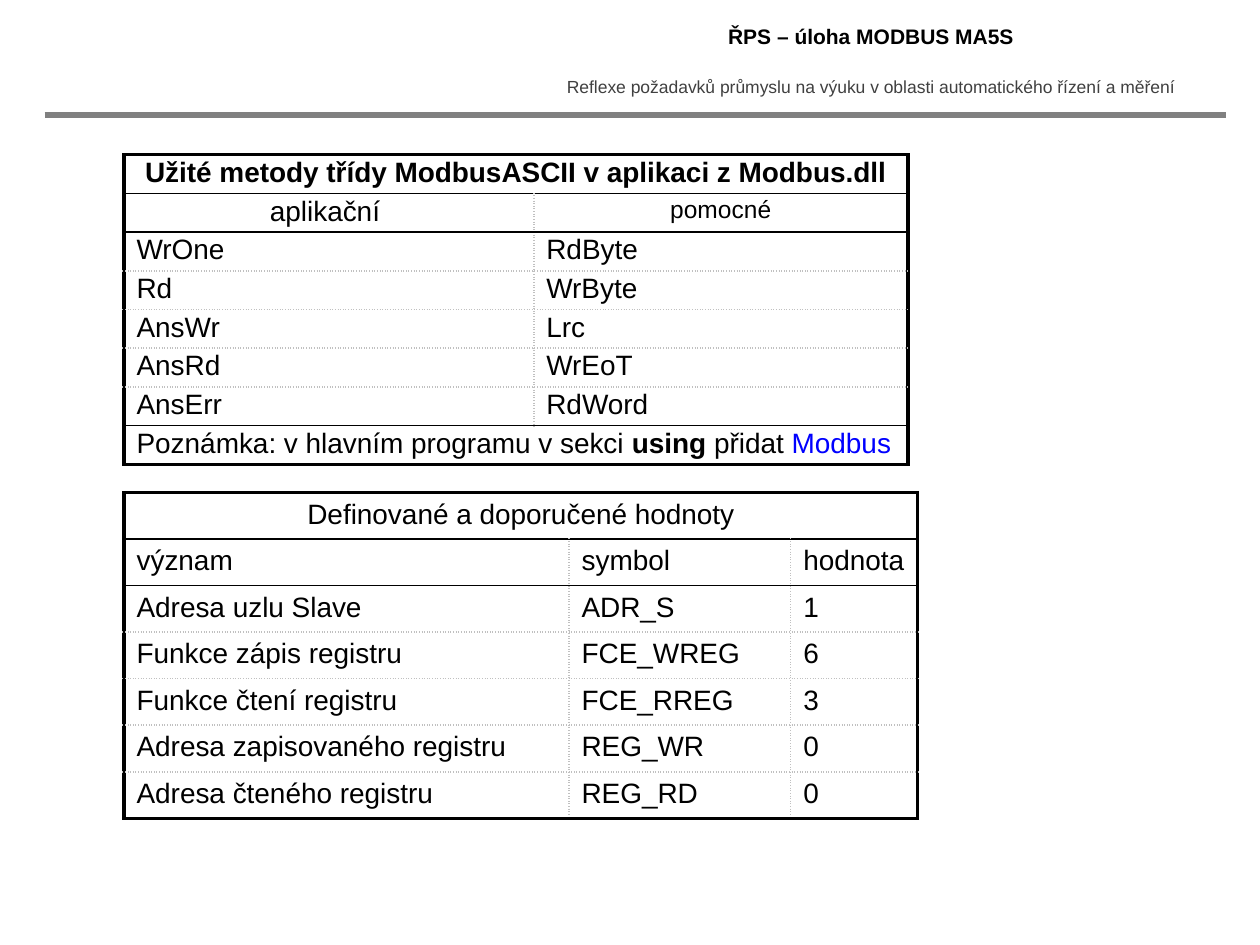
import pptx
import pptx.util
import pptx.dml.color
import pptx.enum.shapes
import pptx.enum.text
import pptx.oxml.ns
from lxml import etree

Cm, Pt = pptx.util.Cm, pptx.util.Pt
CENTER = pptx.enum.text.PP_ALIGN.CENTER
COLORS = {"text": "000000", "subtitle": "404040", "rule": "808080",
          "dots": "C0C0C0", "accent": "0000FF"}
THICK = ("text", 2.25, "solid")
THIN = ("text", 1, "solid")
DOTTED = ("dots", 1, "sysDot")


def rgb(name):
    """Return a named colour."""
    return pptx.dml.color.RGBColor.from_string(COLORS[name])


def add_xml(parent, tag, **attributes):
    """Append a DrawingML element to a parent."""
    return etree.SubElement(parent, pptx.oxml.ns.qn(tag), attributes)


class Sheet:
    """Holds the style and the current slide."""

    font = "Arial"

    def __init__(self, deck):
        """Add a blank page to the deck."""
        self.page = deck.slides.add_slide(deck.slide_layouts[6])

    def style(self, para, size, color="text", bold=False, align=None):
        """Set the font and alignment of a paragraph."""
        para.font.name, para.font.size, para.font.bold = self.font, Pt(size), bold
        para.font.color.rgb = rgb(color)
        para.alignment = align

    def text(self, left, top, width, height, words, size, color="text", bold=False):
        """Add a centred line of text."""
        box = self.page.shapes.add_textbox(Cm(left), Cm(top), Cm(width), Cm(height))
        box.text_frame.word_wrap = True
        para = box.text_frame.paragraphs[0]
        para.text = words
        self.style(para, size, color, bold, CENTER)

    def line(self, left, right, y, color, width):
        """Add a horizontal line."""
        line = self.page.shapes.add_connector(
            pptx.enum.shapes.MSO_CONNECTOR.STRAIGHT, Cm(left), Cm(y), Cm(right), Cm(y))
        line.line.color.rgb = rgb(color)
        line.line.width = Pt(width)
        add_xml(line._element.spPr, "a:effectLst")

    def borders(self, cell, edges):
        """Draw the left, right, top and bottom borders of a cell."""
        properties = cell._tc.get_or_add_tcPr()
        for side, (color, width, dash) in zip("LRTB", edges):
            border = add_xml(properties, "a:ln" + side, w=str(Pt(width)))
            fill = add_xml(border, "a:solidFill")
            add_xml(fill, "a:srgbClr", val=COLORS[color])
            add_xml(border, "a:prstDash", val=dash)

    def table(self, left, top, widths, row_height, rows, solid, margin, styles):
        """Add a framed table; one-item rows span it, solid lists ruled row edges."""
        last_row, last_column = len(rows), len(widths)
        frame = self.page.shapes.add_table(
            last_row, last_column, Cm(left), Cm(top),
            Cm(sum(widths)), Cm(row_height * last_row))
        table = frame.table
        table.first_row = table.horz_banding = False
        for column, width in zip(table.columns, widths):
            column.width = Cm(width)

        def row_edge(index):
            """Choose the border above the row with this index."""
            if index in (0, last_row):
                return THICK
            return THIN if index in solid else DOTTED

        for r, values in enumerate(rows):
            table.rows[r].height = Cm(row_height)
            merged = len(values) == 1
            if merged:
                table.cell(r, 0).merge(table.cell(r, last_column - 1))
            for c in range(last_column):
                cell = table.cell(r, c)
                self.borders(cell, (
                    THICK if merged or c == 0 else DOTTED,
                    THICK if merged or c == last_column - 1 else DOTTED,
                    row_edge(r), row_edge(r + 1)))
                cell.fill.background()
                cell.margin_top = cell.margin_bottom = Cm(margin)
                if c < len(values):
                    self.fill_cell(cell, values[c], styles.get((r, c), {}))

    def fill_cell(self, cell, content, style):
        """Write a string, or a list of (text, bold, colour) spans."""
        para = cell.text_frame.paragraphs[0]
        self.style(para, **{"size": 16, **style})
        if isinstance(content, str):
            content = [(content, None, None)]
        for words, bold, color in content:
            span = para.add_run()
            span.text = words
            if bold:
                span.font.bold = True
            if color:
                span.font.color.rgb = rgb(color)


deck = pptx.Presentation()
deck.slide_width, deck.slide_height = Cm(25.4), Cm(19.05)
sheet = Sheet(deck)

sheet.text(10.92, 1.4, 13.26, 0.69,
           "Reflexe požadavků průmyslu na výuku v oblasti automatického řízení a měření",
           10, "subtitle")
sheet.line(0.9, 24.71, 2.32, "rule", 3)

methods = [
    ["Užité metody třídy ModbusASCII v aplikaci z Modbus.dll"],
    ["aplikační ", "pomocné"],
    ["WrOne", "RdByte"],
    ["Rd", "WrByte"],
    ["AnsWr", "Lrc"],
    ["AnsRd", "WrEoT"],
    ["AnsErr", "RdWord"],
    [[("Poznámka: v hlavním programu v sekci ", False, None), ("using ", True, None),
      ("přidat ", False, None), ("Modbus", False, "accent")]],
]
sheet.table(2.5, 3.12, [8.26, 7.54], 0.78, methods, {1, 2, 7}, 0.05, {
    (0, 0): {"bold": True, "align": CENTER},
    (1, 0): {"align": CENTER},
    (1, 1): {"size": 14, "align": CENTER},
})

constants = [
    ["Definované a doporučené hodnoty"],
    ["význam", "symbol", "hodnota"],
    ["Adresa uzlu Slave", "ADR_S", "1"],
    ["Funkce zápis registru", "FCE_WREG", "6"],
    ["Funkce čtení registru", "FCE_RREG", "3"],
    ["Adresa zapisovaného registru", "REG_WR", "0"],
    ["Adresa čteného registru", "REG_RD", "0"],
]
sheet.table(2.5, 9.93, [8.97, 4.47, 2.56], 0.93, constants, {1, 2}, 0.13,
            {(0, 0): {"align": CENTER}})

sheet.text(10.92, 0.36, 13.28, 0.79, "ŘPS – úloha MODBUS MA5S", 12, bold=True)

deck.save("out.pptx")
